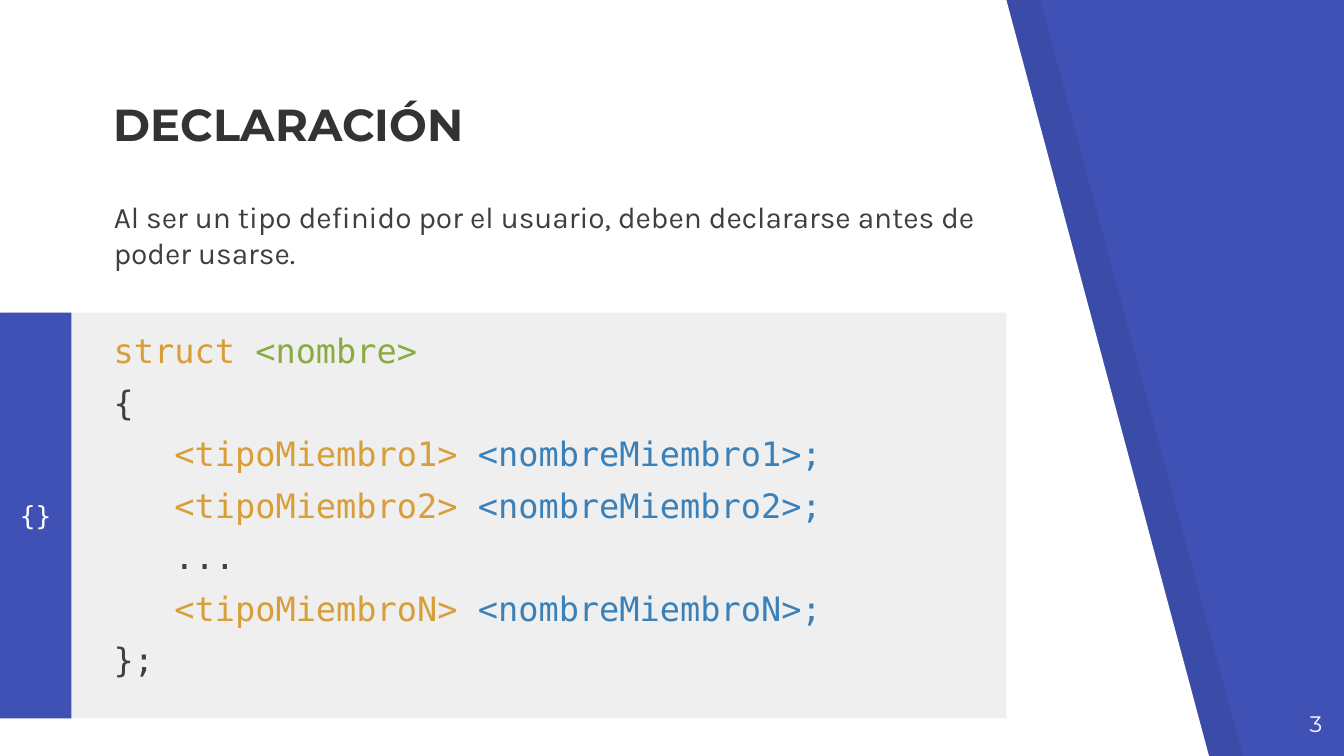
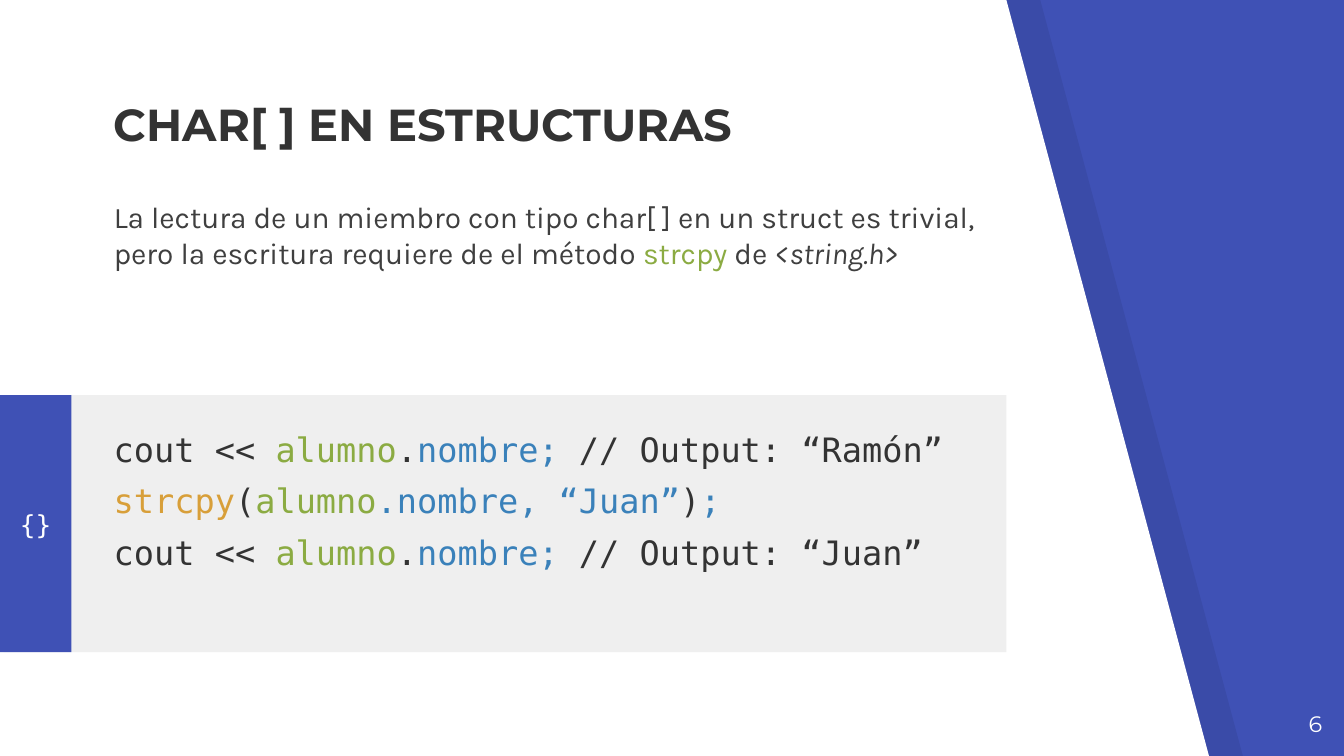
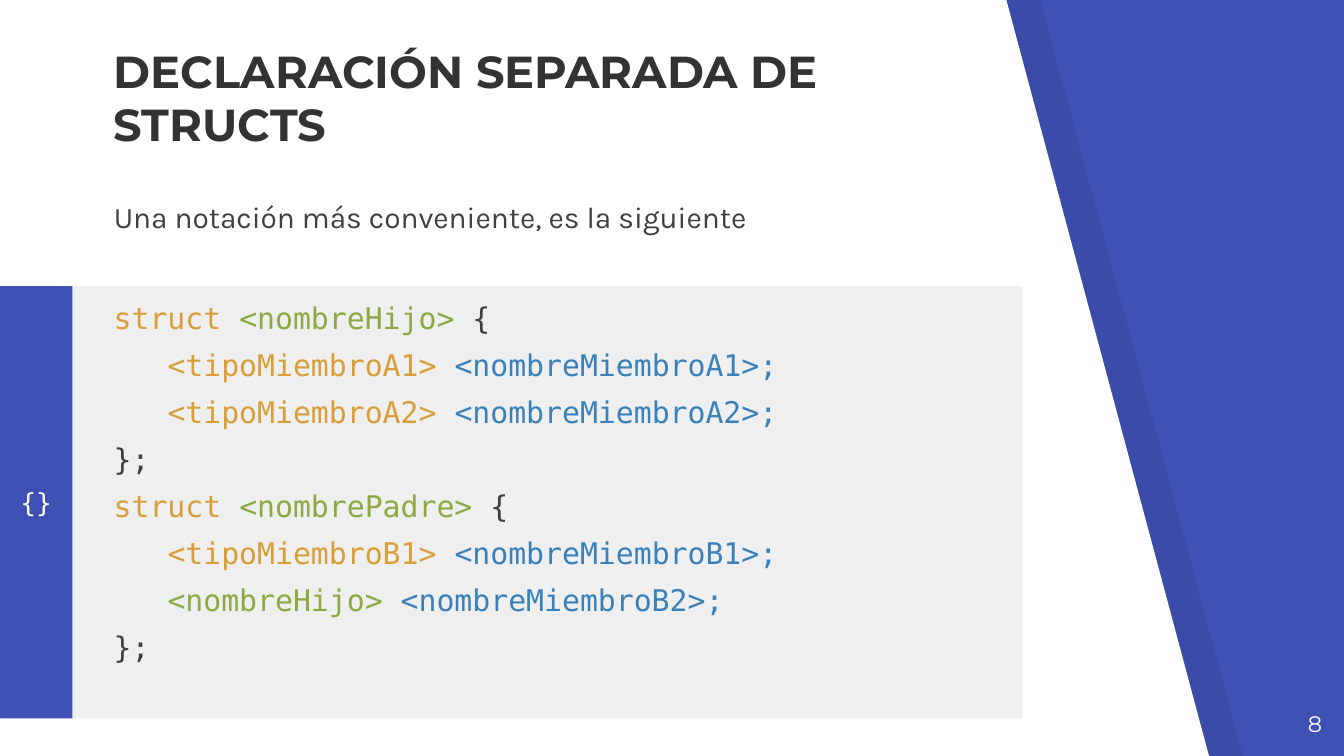
"""Build three slides on declaring and using structs in C++."""
from lxml.etree import SubElement
from pptx import Presentation
from pptx.dml.color import RGBColor
from pptx.enum.shapes import MSO_SHAPE as Shape
from pptx.enum.text import MSO_ANCHOR as Anchor, MSO_AUTO_SIZE as AutoSize, PP_ALIGN as Align
from pptx.oxml.ns import qn
from pptx.util import Cm, Pt

INDIGO = RGBColor(0x3F, 0x51, 0xB5)
BLACK = RGBColor(0x00, 0x00, 0x00)
WHITE = RGBColor(0xFF, 0xFF, 0xFF)
PALE = RGBColor(0xEF, 0xEF, 0xEF)
DARK = RGBColor(0x33, 0x33, 0x33)
GREY = RGBColor(0x3F, 0x3F, 0x3F)
AMBER = RGBColor(0xD8, 0x9F, 0x39)
GREEN = RGBColor(0x8B, 0xAB, 0x42)
BLUE = RGBColor(0x3A, 0x81, 0xBA)

MONO = "DejaVu Sans Mono"
TITLE = {"name": "Montserrat", "size": Pt(24), "bold": True}
INTRO = {"name": "Karla", "size": Pt(16)}
NUMBER = {"name": "Montserrat", "size": Pt(12)}
BRACES = {"name": MONO, "size": Pt(14)}

LEFT, TEXT_WIDTH = 1.9, 17.1
INSET = Cm(0.25)


def write(shape, lines, font, anchor=Anchor.TOP, align=Align.LEFT):
    """Fill a shape with lines of (text, colour) runs, italic if a third item says so."""
    frame = shape.text_frame
    settings = {"word_wrap": True, "auto_size": AutoSize.NONE, "vertical_anchor": anchor,
                "margin_left": INSET, "margin_right": INSET,
                "margin_top": INSET, "margin_bottom": INSET}
    for name, value in settings.items():
        setattr(frame, name, value)
    for index, line in enumerate(lines):
        paragraph = frame.add_paragraph() if index else frame.paragraphs[0]
        paragraph.alignment = align
        paragraph.space_before = Pt(6 if index else 0)
        for text, colour, *italic in line:
            run = paragraph.add_run()
            run.text = text
            for name, value in font.items():
                setattr(run.font, name, value)
            run.font.color.rgb = colour
            if italic:
                run.font.italic = True


def paint(shape, colour):
    """Give a shape a plain fill without line or shadow."""
    shape.fill.solid()
    shape.fill.fore_color.rgb = colour
    shape.line.fill.background()
    shape.shadow.inherit = False


member_lines = {
    key: [("   ", GREY), (f"<tipoMiembro{key}> ", AMBER), (f"<nombreMiembro{key}>;", BLUE)]
    for key in ("1", "2", "N", "A1", "A2", "B1")
}
output_lines = {
    name: [("cout << ", DARK), ("alumno", GREEN), (".", DARK), ("nombre; ", BLUE),
           (f"// Output: “{name}”", DARK)]
    for name in ("Ramón", "Juan")
}
closing = [("};", GREY)]

topics = [
    {
        "number": "3", "title": "DECLARACIÓN",
        "intro": [("Al ser un tipo definido por el usuario, deben declararse antes de "
                   "poder usarse.", GREY)],
        "intro_height": 2.4, "band": (5.91, 7.67), "band_right": 19.02, "tab": 1.35,
        "code_box": (5.99, 7.6), "code_size": 18,
        "code": [
            [("struct ", AMBER), ("<nombre>", GREEN)],
            [("{", GREY)],
            member_lines["1"],
            member_lines["2"],
            [("   ...", GREY)],
            member_lines["N"],
            closing,
        ],
    },
    {
        "number": "6", "title": "CHAR[ ] EN ESTRUCTURAS",
        "intro": [("La lectura de un miembro con tipo char[ ] en un struct es trivial, "
                   "pero la escritura requiere de el método ", GREY),
                  ("strcpy", GREEN), (" de ", GREY), ("<string.h>", GREY, True)],
        "intro_height": 2.4, "band": (7.47, 4.86), "band_right": 19.02, "tab": 1.35,
        "code_box": (7.85, 3.96), "code_size": 18,
        "code": [
            output_lines["Ramón"],
            [("strcpy", AMBER), ("(", DARK), ("alumno", GREEN), (".nombre, “Juan”", BLUE),
             (")", DARK), (";", BLUE)],
            output_lines["Juan"],
        ],
    },
    {
        "number": "8", "title": "DECLARACIÓN SEPARADA DE STRUCTS",
        "intro": [("Una notación más conveniente, es la siguiente", GREY)],
        "intro_height": 1.68, "band": (5.41, 8.17), "band_right": 19.33, "tab": 1.37,
        "code_box": (5.41, 8.17), "code_size": 16,
        "code": [
            [("struct ", AMBER), ("<nombreHijo> ", GREEN), ("{", GREY)],
            member_lines["A1"],
            member_lines["A2"],
            closing,
            [("struct ", AMBER), ("<nombrePadre> ", GREEN), ("{", GREY)],
            member_lines["B1"],
            [("   ", GREY), ("<nombreHijo>", GREEN), (" <nombreMiembroB2>;", BLUE)],
            closing,
        ],
    },
]

deck = Presentation()
deck.slide_width, deck.slide_height = Cm(25.4), Cm(14.29)
backdrop = deck.slide_master.background.fill
backdrop.solid()
backdrop.fore_color.rgb = INDIGO
layout = deck.slide_layouts[1]
slides = [deck.slides.add_slide(layout) for _ in topics]

for order, (shift, colour) in enumerate([(0.64, BLACK), (0, WHITE)]):
    outline = slides[0].shapes.build_freeform(Cm(shift), Cm(-0.03))
    corners = [(0, 14.33), (22.86, 14.33), (19.02, 0)]
    outline.add_line_segments([(Cm(x + shift), Cm(y)) for x, y in corners])
    panel = outline.convert_to_shape()
    paint(panel, colour)
    if colour == BLACK:
        tint = panel.element.find(".//" + qn("a:srgbClr"))
        SubElement(tint, qn("a:alpha"), val="7000")
    layout.shapes.element.insert(2 + order, panel.element)

for slide, topic in zip(slides, topics):
    title, intro = slide.placeholders
    for holder, top, height in ((title, 1.96, 1.14), (intro, 3.5, topic["intro_height"])):
        holder.left, holder.top = Cm(LEFT), Cm(top)
        holder.width, holder.height = Cm(TEXT_WIDTH), Cm(height)
    write(title, [[(topic["title"], DARK)]], TITLE, Anchor.BOTTOM)
    write(intro, [topic["intro"]], INTRO)
    intro_format = intro.text_frame.paragraphs[0]._p.get_or_add_pPr()
    intro_format.set("marL", "0")
    intro_format.set("indent", "0")
    SubElement(intro_format, qn("a:buNone"))

    top, height = topic["band"]
    band = slide.shapes.add_group_shape()
    for left, right, colour in ((0.07, topic["band_right"], PALE), (0, topic["tab"], INDIGO)):
        block = band.shapes.add_shape(Shape.RECTANGLE, Cm(left), Cm(top),
                                      Cm(right - left), Cm(height))
        paint(block, colour)
    write(block, [[("{}", WHITE)]], BRACES, Anchor.MIDDLE, Align.CENTER)

    top, height = topic["code_box"]
    code = slide.shapes.add_textbox(Cm(LEFT), Cm(top), Cm(TEXT_WIDTH), Cm(height))
    write(code, topic["code"], {"name": MONO, "size": Pt(topic["code_size"])})

    number = slide.shapes.add_textbox(Cm(23.72), Cm(13.18), Cm(1.52), Cm(1.09))
    write(number, [[(topic["number"], WHITE)]], NUMBER, align=Align.RIGHT)

deck.save("out.pptx")
